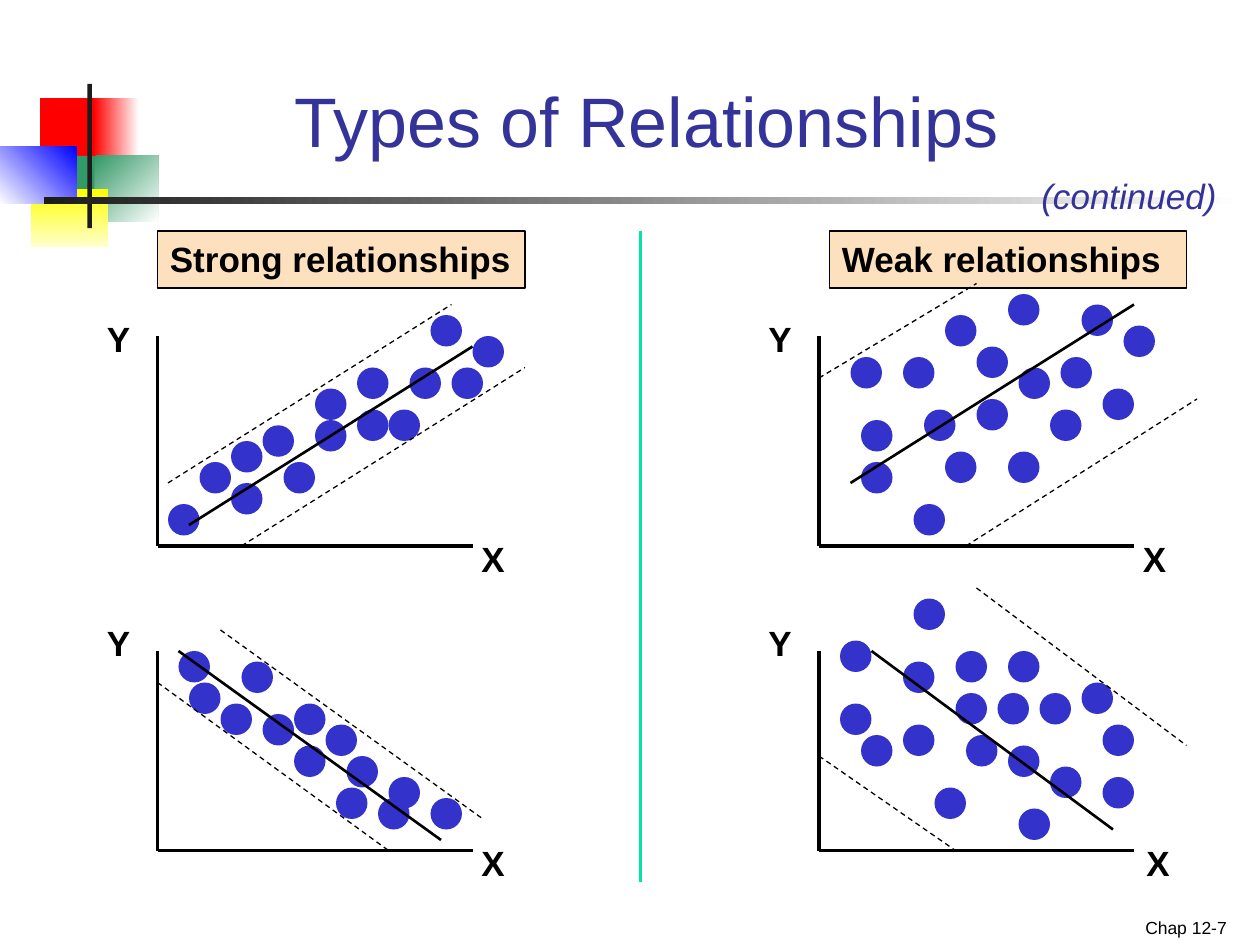
from dataclasses import dataclass
from typing import Optional

import pptx
import pptx.dml.color
import pptx.enum.dml
import pptx.enum.shapes
import pptx.enum.text
import pptx.util
from lxml import etree
from pptx.dml.color import RGBColor
from pptx.util import Pt

Point = tuple[float, float]
Box = tuple[float, float, float, float]

FONT = "Arial"
BLACK = RGBColor(0x00, 0x00, 0x00)
CHARCOAL = RGBColor(0x1C, 0x1C, 0x1C)
WHITE = RGBColor(0xFF, 0xFF, 0xFF)
RED = RGBColor(0xFF, 0x00, 0x00)
GREEN = RGBColor(0x33, 0x99, 0x66)
YELLOW = RGBColor(0xFF, 0xFF, 0x00)
PALE_YELLOW = RGBColor(0xFF, 0xFF, 0xCC)
BLUE = RGBColor(0x00, 0x00, 0xFF)
INDIGO = RGBColor(0x33, 0x33, 0x99)
DOT_BLUE = RGBColor(0x33, 0x33, 0xCC)
PEACH = RGBColor(0xFD, 0xE0, 0xBD)
MINT = RGBColor(0x00, 0xE4, 0xA8)

DOT_SIZE = 18
AXIS_LENGTH = 180
LEFT_ORIGIN, RIGHT_ORIGIN = 90, 468
UPPER_AXIS, LOWER_AXIS = (192, 312), (372, 486)
UPPER_LABEL_TOP, LOWER_LABEL_TOP = 178, 351.5


@dataclass(frozen=True)
class Block:
    box: Box
    start: RGBColor
    end: Optional[RGBColor] = None
    angle: float = 0


@dataclass(frozen=True)
class Label:
    text: str
    box: Box
    size: float = 20
    color: RGBColor = BLACK
    bold: bool = False
    italic: bool = False
    wrap: bool = False
    fill: Optional[RGBColor] = None


@dataclass(frozen=True)
class Line:
    start: Point
    end: Point
    width: float
    color: RGBColor = BLACK
    dashed: bool = False


@dataclass(frozen=True)
class ScatterPlot:
    origin: float
    axis: Point
    y_label_top: float
    x_label_offset: float
    dots: list[Point]
    trend: tuple[Point, Point]
    bounds: list[tuple[Point, Point]]


BLOCKS = [
    Block((23, 56, 34.5, 37.5), RED),
    Block((53.5, 56, 26, 37.5), RED, WHITE),
    Block((54, 89, 36.5, 37.5), GREEN, WHITE, 315),
    Block((31, 89, 23, 37.5), GREEN),
    Block((18, 108, 44, 33), YELLOW, PALE_YELLOW, 270),
    Block((0, 83.5, 44, 33), WHITE, BLUE, 45),
    Block((50, 48, 2.5, 82.5), CHARCOAL),
    Block((25, 112.5, 685, 4), CHARCOAL, WHITE),
]

PLOTS = [
    ScatterPlot(
        LEFT_ORIGIN, UPPER_AXIS, UPPER_LABEL_TOP, 178,
        [(96, 288), (114, 264), (132, 276), (132, 252), (150, 243),
         (162, 264), (180, 240), (180, 222), (204, 234), (204, 210),
         (222, 234), (234, 210), (246, 180), (258, 210), (270, 192)],
        ((108, 300), (270, 198)),
        [((96, 276), (258, 174)), ((138, 312), (300, 210))],
    ),
    ScatterPlot(
        LEFT_ORIGIN, LOWER_AXIS, LOWER_LABEL_TOP, 178,
        [(102, 372), (108, 390), (126, 402), (138, 378), (150, 408),
         (168, 402), (168, 426), (186, 414), (192, 450), (198, 432),
         (216, 456), (222, 444), (246, 456)],
        ((102, 372), (252, 480)),
        [((126, 360), (276, 468)), ((90, 390), (222, 486))],
    ),
    ScatterPlot(
        RIGHT_ORIGIN, UPPER_AXIS, UPPER_LABEL_TOP, 178,
        [(486, 204), (492, 240), (492, 264), (516, 204), (522, 288),
         (528, 234), (540, 180), (540, 258), (558, 198), (558, 228),
         (576, 168), (576, 258), (582, 210), (600, 234), (606, 204),
         (618, 174), (630, 222), (642, 186)],
        ((486, 276), (648, 174)),
        [((468, 216), (558, 162)), ((552, 312), (684, 228))],
    ),
    ScatterPlot(
        RIGHT_ORIGIN, LOWER_AXIS, LOWER_LABEL_TOP, 180,
        [(480, 366), (480, 402), (492, 420), (516, 378), (516, 414),
         (522, 342), (534, 450), (546, 372), (546, 396), (552, 420),
         (570, 396), (576, 372), (576, 426), (582, 462), (594, 396),
         (600, 438), (618, 390), (630, 414), (630, 444)],
        ((498, 372), (636, 474)),
        [((558, 336), (678, 426)), ((468, 432), (546, 486))],
    ),
]


def draw_block(slide: pptx.slide.Slide, block: Block) -> None:
    shape = slide.shapes.add_shape(
        pptx.enum.shapes.MSO_SHAPE.RECTANGLE, *map(Pt, block.box))
    shape.shadow.inherit = False
    shape.line.fill.background()
    if block.end is None:
        shape.fill.solid()
        shape.fill.fore_color.rgb = block.start
        return
    shape.fill.gradient()
    shape.fill.gradient_angle = block.angle
    for stop, color in zip(shape.fill.gradient_stops, (block.start, block.end)):
        stop.color.rgb = color


def draw_label(slide: pptx.slide.Slide, label: Label,
               align=pptx.enum.text.PP_ALIGN.LEFT) -> None:
    shape = slide.shapes.add_textbox(*map(Pt, label.box))
    if label.fill is not None:
        shape.fill.solid()
        shape.fill.fore_color.rgb = label.fill
        shape.line.color.rgb = BLACK
        shape.line.width = Pt(1)
    shape.text_frame.word_wrap = label.wrap
    paragraph = shape.text_frame.paragraphs[0]
    paragraph.text = label.text
    paragraph.alignment = align
    font = paragraph.font
    font.name, font.size = FONT, Pt(label.size)
    font.bold, font.italic = label.bold, label.italic
    font.color.rgb = label.color


def draw_line(slide: pptx.slide.Slide, line: Line) -> None:
    connector = slide.shapes.add_connector(
        pptx.enum.shapes.MSO_CONNECTOR.STRAIGHT,
        *map(Pt, line.start + line.end))
    connector.line.color.rgb = line.color
    connector.line.width = Pt(line.width)
    if line.dashed:
        connector.line.dash_style = pptx.enum.dml.MSO_LINE.DASH
    etree.SubElement(connector._element.spPr, pptx.oxml.ns.qn("a:effectLst"))


def draw_plot(slide: pptx.slide.Slide, plot: ScatterPlot) -> None:
    top, base = plot.axis
    corner = (plot.origin, base)
    draw_line(slide, Line((plot.origin, top), corner, 2))
    draw_line(slide, Line(corner, (plot.origin + AXIS_LENGTH, base), 2))
    for left, dot_top in plot.dots:
        dot = slide.shapes.add_shape(
            pptx.enum.shapes.MSO_SHAPE.OVAL,
            Pt(left), Pt(dot_top), Pt(DOT_SIZE), Pt(DOT_SIZE))
        dot.shadow.inherit = False
        dot.fill.solid()
        dot.fill.fore_color.rgb = DOT_BLUE
        dot.line.fill.background()
    draw_label(slide, Label(
        "Y", (plot.origin - 36, plot.y_label_top, 28, 31), bold=True))
    draw_label(slide, Label(
        "X", (plot.origin + plot.x_label_offset, base - 8.5, 28, 31), bold=True))


def format_title(slide: pptx.slide.Slide) -> None:
    title = slide.shapes.title
    title.left, title.top, title.width, title.height = map(Pt, (90.5, 18, 557.5, 78))
    frame = title.text_frame
    frame.auto_size = pptx.enum.text.MSO_AUTO_SIZE.NONE
    frame.vertical_anchor = pptx.enum.text.MSO_ANCHOR.BOTTOM
    paragraph = frame.paragraphs[0]
    paragraph.text = "Types of Relationships"
    paragraph.alignment = pptx.enum.text.PP_ALIGN.CENTER
    paragraph.font.name, paragraph.font.size = FONT, Pt(40)
    paragraph.font.color.rgb = INDIGO


def main() -> None:
    presentation = pptx.Presentation()
    presentation.slide_width, presentation.slide_height = Pt(720), Pt(540)
    slide = presentation.slides.add_slide(presentation.slide_layouts[5])
    format_title(slide)
    for block in BLOCKS:
        draw_block(slide, block)
    for plot in PLOTS:
        draw_plot(slide, plot)
    for text, left, width in (("Strong relationships", 90, 210),
                              ("Weak relationships", 474, 204)):
        draw_label(slide, Label(
            text, (left, 132, width, 32.5), bold=True, wrap=True, fill=PEACH))
    draw_line(slide, Line((366, 132), (366, 504), 2.25, MINT))
    draw_label(slide, Label(
        "(continued)", (588, 96, 116, 31), color=INDIGO, italic=True))
    for plot in PLOTS:
        for start, end in plot.bounds:
            draw_line(slide, Line(start, end, 0.75, dashed=True))
        draw_line(slide, Line(*plot.trend, 1.5))
    draw_label(slide, Label("Chap 12-7", (540, 520.5, 168, 19.5), 10, wrap=True),
               pptx.enum.text.PP_ALIGN.RIGHT)
    presentation.save("out.pptx")


if __name__ == "__main__":
    main()
